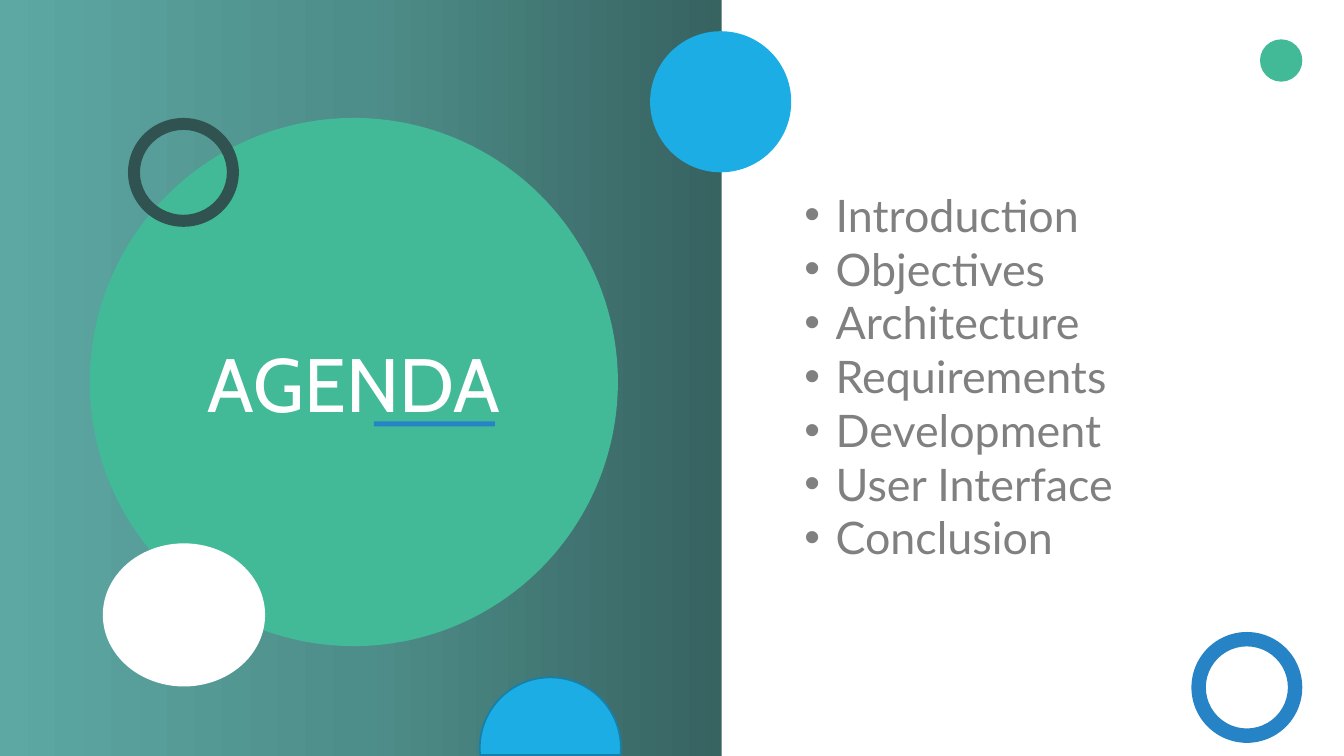
import copy
import math
from dataclasses import dataclass

from pptx import Presentation
from pptx.dml.color import RGBColor
from pptx.enum import shapes, text
from pptx.oxml import ns
from pptx import util as u

CELL = u.Emu(304800)
COLUMNS, ROWS = 40, 22.5
PANEL_COLUMNS = 21.48


@dataclass(frozen=True)
class Theme:
    """Colours, fonts and type sizes of the slide."""

    green: str = "42BA97"
    blue: str = "2683C6"
    sky: str = "1CADE4"
    sky_edge: str = "1580A9"
    pine: str = "305250"
    white: str = "FFFFFF"
    grey: str = "808080"
    panel: tuple = ((0, "376361"), (0.5, "4E8E8A"), (1, "5DA8A3"))
    title_font: str = "Cabin"
    body_font: str = "Lato"
    title_size: int = 54
    body_size: int = 32


@dataclass(frozen=True)
class Box:
    """An area measured in grid cells."""

    left: float
    top: float
    width: float
    height: float

    def inside(self, left, top, width, height):
        """Return a box placed relative to this one."""
        return Box(self.left + left, self.top + top, width, height)

    def lengths(self):
        """Return left, top, width and height as slide lengths."""
        cells = (self.left, self.top, self.width, self.height)
        return [u.Emu(round(cell * CELL)) for cell in cells]


THEME = Theme()


def paint(shape, color):
    """Give a shape a flat fill without line or shadow."""
    shape.shadow.inherit = False
    shape.fill.solid()
    shape.fill.fore_color.rgb = RGBColor.from_string(color)
    shape.line.fill.background()


def add_figure(slide, kind, box, color, ring=None):
    """Add a flat preset shape, with a ring thickness for donuts."""
    shape = slide.shapes.add_shape(kind, *box.lengths())
    if ring is not None:
        shape.adjustments[0] = ring
    paint(shape, color)
    return shape


def add_circle(slide, box, color):
    """Add a flat ellipse."""
    return add_figure(slide, shapes.MSO_SHAPE.OVAL, box, color)


def add_ring(slide, box, color, ring):
    """Add a flat donut."""
    return add_figure(slide, shapes.MSO_SHAPE.DONUT, box, color, ring)


def add_gradient_panel(slide, box):
    """Add the panel that darkens from left to right."""
    panel = add_figure(slide, shapes.MSO_SHAPE.RECTANGLE, box, THEME.white)
    panel.fill.gradient()
    panel.fill.gradient_angle = 180
    stop_list = panel.element.find(".//" + ns.qn("a:gsLst"))
    stop_list.append(copy.deepcopy(stop_list[-1]))
    for stop, (position, color) in zip(panel.fill.gradient_stops, THEME.panel):
        stop.position = position
        stop.color.rgb = RGBColor.from_string(color)


def add_dome(slide, box, center, radius, drop):
    """Add an outlined circle cut off a little below its centre."""
    slack = math.asin(drop / radius)
    steps = 90
    points = []
    for step in range(steps + 1):
        angle = math.pi - slack + (math.pi + 2 * slack) * step / steps
        across = center[0] + radius * math.cos(angle)
        down = center[1] + radius * math.sin(angle)
        points.append(tuple(box.inside(across, down, 0, 0).lengths()[:2]))
    builder = slide.shapes.build_freeform(*points[0])
    builder.add_line_segments(points[1:], close=True)
    dome = builder.convert_to_shape()
    paint(dome, THEME.sky)
    dome.line.color.rgb = RGBColor.from_string(THEME.sky_edge)
    dome.line.width = u.Pt(1.25)


def place_placeholder(placeholder, box):
    """Move a placeholder to a box and to the front."""
    placeholder.left, placeholder.top, placeholder.width, placeholder.height = box.lengths()
    placeholder.element.getparent().append(placeholder.element)
    placeholder.text_frame.auto_size = text.MSO_AUTO_SIZE.NONE
    placeholder.text_frame.word_wrap = True
    return placeholder.text_frame


def add_run(paragraph, words, font, size, color):
    """Add a formatted run to a paragraph."""
    run = paragraph.add_run()
    run.text = words
    run.font.name = font
    run.font.size = u.Pt(size)
    run.font.color.rgb = RGBColor.from_string(color)


def draw_title_panel(slide, box, title):
    """Draw the gradient panel with its title and circles."""
    add_gradient_panel(slide, box)
    disc = box.inside(2.67, 3.51, 15.72, 15.72)
    add_circle(slide, disc, THEME.green)

    frame = place_placeholder(slide.shapes.title, disc.inside(2.3, 5.86, 11.12, 4))
    frame.vertical_anchor = text.MSO_ANCHOR.MIDDLE
    paragraph = frame.paragraphs[0]
    paragraph.alignment = text.PP_ALIGN.CENTER
    add_run(paragraph, title, THEME.title_font, THEME.title_size, THEME.white)

    underline = box.inside(11.13, 12.54, 3.6, 0.15)
    add_figure(slide, shapes.MSO_SHAPE.RECTANGLE, underline, THEME.blue)
    add_ring(slide, box.inside(3.81, 3.51, 3.3, 3.24), THEME.pine, 0.11)
    add_circle(slide, box.inside(19.35, 0.93, 4.2, 4.2), THEME.sky)
    add_dome(slide, box, center=(16.38, 22.26), radius=2.1, drop=0.21)
    add_circle(slide, box.inside(3.06, 16.17, 4.83, 4.26), THEME.white)


def draw_topics(slide, box, topics):
    """Draw the bulleted topics with the corner circles."""
    add_circle(slide, box.inside(16.02, 1.17, 1.26, 1.26), THEME.green)

    frame = place_placeholder(slide.placeholders[1], box.inside(2.16, 5.43, 15.12, 11.61))
    frame.vertical_anchor = text.MSO_ANCHOR.TOP
    indent = u.Inches(0.31)
    for index, topic in enumerate(topics):
        paragraph = frame.add_paragraph() if index else frame.paragraphs[0]
        properties = paragraph._p.get_or_add_pPr()
        properties.set("marL", str(indent))
        properties.set("indent", str(-indent))
        paragraph.space_before = u.Pt(0)
        add_run(paragraph, topic, THEME.body_font, THEME.body_size, THEME.grey)

    add_ring(slide, box.inside(13.98, 18.81, 3.3, 3.3), THEME.blue, 0.13)


def main():
    """Build the agenda slide and save it."""
    presentation = Presentation()
    presentation.slide_width = u.Emu(round(COLUMNS * CELL))
    presentation.slide_height = u.Emu(round(ROWS * CELL))
    slide = presentation.slides.add_slide(presentation.slide_layouts[1])
    draw_title_panel(slide, Box(0, 0, PANEL_COLUMNS, ROWS), "AGENDA")
    topics = [
        "Introduction",
        "Objectives",
        "Architecture",
        "Requirements",
        "Development",
        "User Interface",
        "Conclusion",
    ]
    draw_topics(slide, Box(PANEL_COLUMNS, 0, COLUMNS - PANEL_COLUMNS, ROWS), topics)
    presentation.save("out.pptx")


if __name__ == "__main__":
    main()
